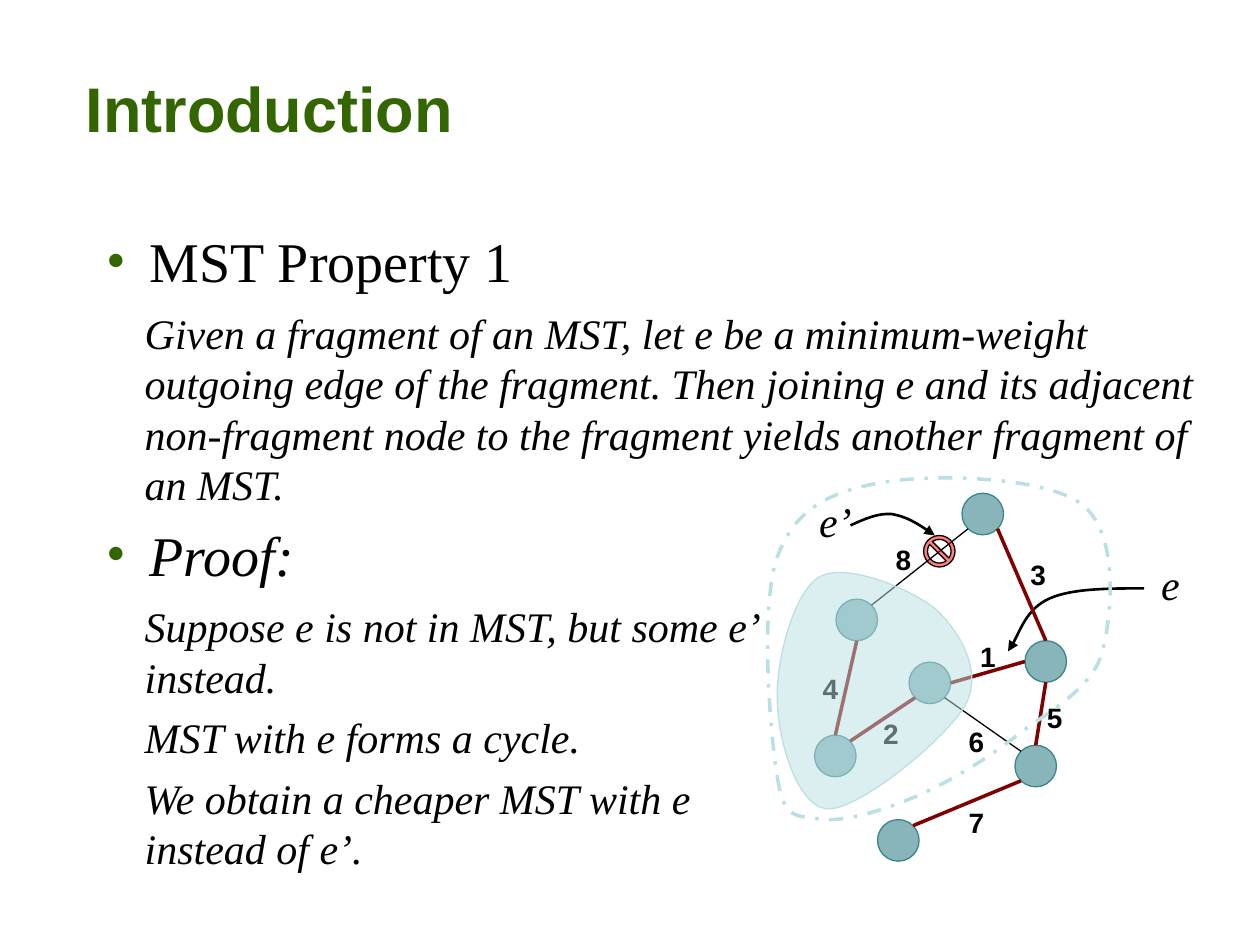
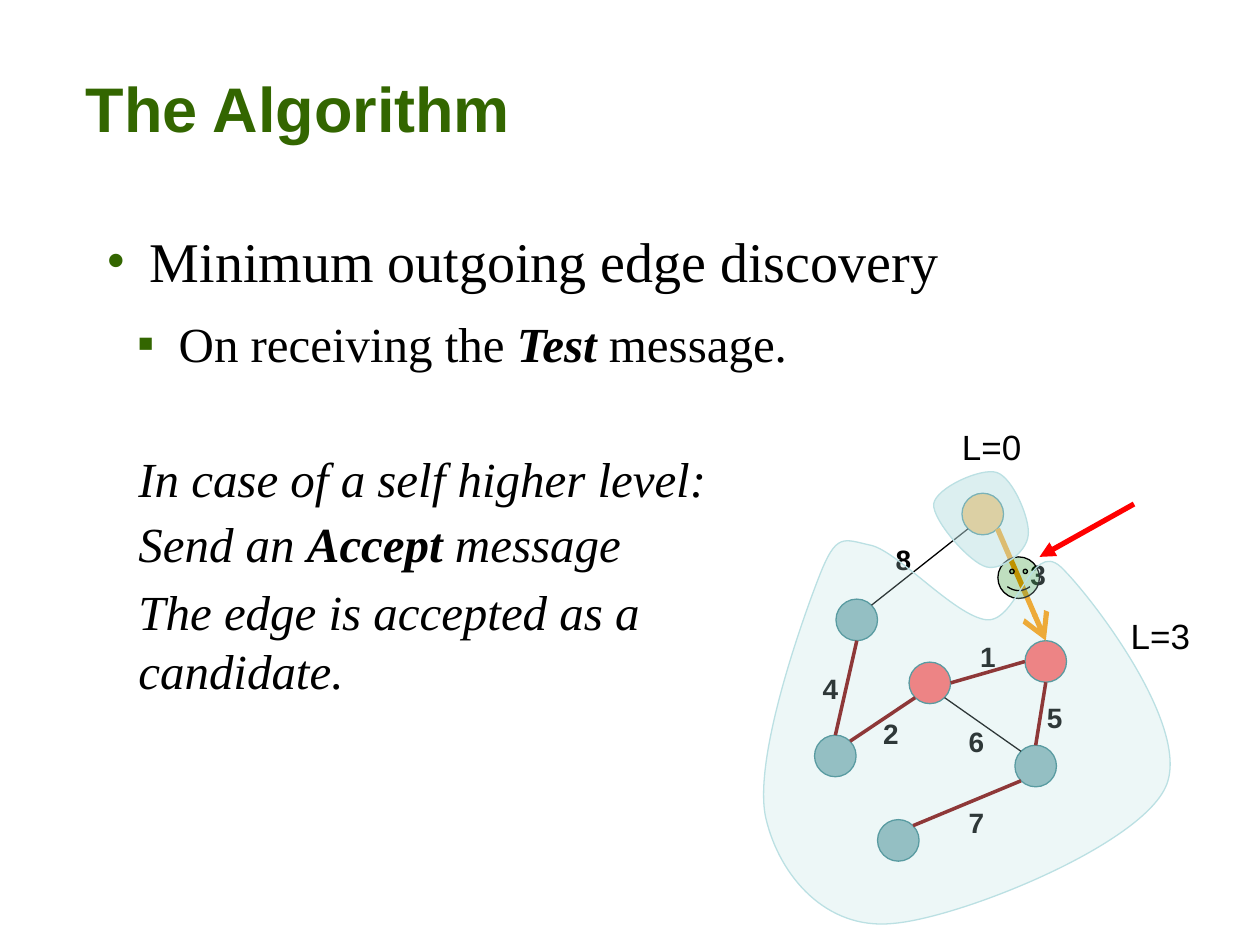
"""Build two slides on minimum spanning trees and their fragments."""
from lxml.etree import SubElement
from pptx import Presentation
from pptx.dml.color import RGBColor
from pptx.enum.dml import MSO_LINE
from pptx.enum.shapes import MSO_CONNECTOR, MSO_SHAPE
from pptx.enum.text import MSO_ANCHOR, MSO_AUTO_SIZE, PP_ALIGN
from pptx.oxml.ns import qn
from pptx.util import Inches, Pt

COLORS = {
    "black": "000000", "green": "336600", "teal": "39858B", "maroon": "800000",
    "mist": "BBE0E3", "red": "FF0000", "orange": "FF9900", "smile": "008000",
}
SANS, SERIF = "Arial", "Times New Roman"
NODE_SIZE = 0.33
DIAGONAL = 0.71
COMPASS = {
    "N": (0, -1), "S": (0, 1), "E": (1, 0), "W": (-1, 0),
    "NE": (DIAGONAL, -DIAGONAL), "SE": (DIAGONAL, DIAGONAL),
    "NW": (-DIAGONAL, -DIAGONAL), "SW": (-DIAGONAL, DIAGONAL),
}
NODES = {
    "core": (7.38, 5.42), "top": (7.8, 4.08), "low_right": (8.22, 6.08),
    "hub": (8.3, 5.25), "bottom": (7.13, 6.67), "left": (6.8, 4.92),
    "low_left": (6.63, 6),
}
TREE_EDGES = {
    1: ("core", "E", "hub", "W"), 2: ("core", "SW", "low_left", "NE"),
    3: ("top", "SE", "hub", "N"), 4: ("low_left", "N", "left", "S"),
    5: ("low_right", "N", "hub", "S"), 7: ("low_right", "SW", "bottom", "NE"),
}
OTHER_EDGES = {6: ("core", "SE", "low_right", "NW"), 8: ("left", "NE", "top", "SW")}
WEIGHT_CENTERS = {
    1: (7.84, 5.21), 2: (7.07, 5.82), 3: (8.24, 4.56), 4: (6.59, 5.46),
    5: (8.37, 5.69), 6: (7.75, 5.88), 7: (7.75, 6.53), 8: (7.17, 4.44),
}

SMALL_FRAGMENT = [
    (6.5, 4.58), (6.71, 4.46), (7.22, 4.67), (7.42, 4.83), (7.61, 5), (7.8, 5.32),
    (7.67, 5.58), (7.53, 5.85), (6.83, 6.42), (6.58, 6.42), (6.33, 6.42),
    (6.18, 5.89), (6.17, 5.58), (6.15, 5.28), (6.29, 4.71), (6.5, 4.58),
]
JOINED_FRAGMENT = [
    (6.17, 6.17), (6.22, 6.51), (6.32, 6.47), (6.5, 6.5), (6.68, 6.53), (6.99, 6.44),
    (7.25, 6.33), (7.51, 6.22), (7.83, 6.03), (8.08, 5.83), (8.33, 5.64), (8.67, 5.47),
    (8.75, 5.17), (8.83, 4.86), (8.88, 4.22), (8.58, 4), (8.29, 3.78), (7.4, 3.76),
    (7, 3.83), (6.6, 3.9), (6.31, 4.03), (6.17, 4.42), (6.03, 4.81), (6.11, 5.82),
    (6.17, 6.17),
]
LEVEL_0_FRAGMENT = [
    (7.41, 4), (7.43, 3.87), (7.79, 3.71), (7.91, 3.75), (8.04, 3.79), (8.18, 4.13),
    (8.16, 4.25), (8.15, 4.38), (7.95, 4.53), (7.83, 4.5), (7.7, 4.47), (7.4, 4.13),
    (7.41, 4),
]
LEVEL_3_FRAGMENT = [
    (6.5, 4.58), (6.64, 4.22), (6.69, 4.28), (6.92, 4.33), (7.14, 4.39), (7.58, 4.89),
    (7.83, 4.92), (8.08, 4.94), (8.18, 4.28), (8.42, 4.5), (8.65, 4.72), (9.47, 5.78),
    (9.25, 6.25), (9.03, 6.72), (7.61, 7.29), (7.08, 7.33), (6.56, 7.38), (6.19, 6.96),
    (6.08, 6.5), (5.97, 6.04), (6.36, 4.94), (6.5, 4.58),
]
E_POINTER = [(9.08, 4.67), (8.8, 4.67), (8.51, 4.67), (8.33, 4.75), (8.15, 4.83),
             (8.06, 5.1), (8, 5.17)]
E_PRIME_POINTER = [(6.75, 4.17), (6.86, 4.12), (6.97, 4.07), (7.08, 4.08),
                   (7.19, 4.1), (7.31, 4.17), (7.42, 4.25)]


def rgb(color):
    """Return the named colour."""
    return RGBColor.from_string(COLORS[color])


def style_font(font, name, size, color="black", bold=False, italic=False):
    """Set the face, size, colour and weight of a font."""
    font.name, font.size, font.bold, font.italic = name, Pt(size), bold, italic
    font.color.rgb = rgb(color)


def style_line(shape, color, width, arrow=None, arrow_size="med"):
    """Set the outline of a shape and an optional arrowhead at its end."""
    shape.line.color.rgb = rgb(color)
    shape.line.width = Pt(width)
    if arrow:
        outline = shape.element.spPr.find(qn("a:ln"))
        SubElement(outline, qn("a:tailEnd"), type=arrow, w=arrow_size, len=arrow_size)


def style_fill(shape, color, opacity):
    """Fill a shape with a partly transparent colour, without shadow."""
    shape.shadow.inherit = False
    shape.fill.solid()
    shape.fill.fore_color.rgb = rgb(color)
    tint = shape.element.spPr.find(qn("a:solidFill"))[0]
    SubElement(tint, qn("a:alpha"), val=str(opacity * 1000))


def add_bullet(para, symbol, indent):
    """Give a paragraph a green bullet with a hanging indent."""
    properties = para._p.get_or_add_pPr()
    properties.set("marL", str(Inches(indent)))
    properties.set("indent", str(-Inches(indent)))
    tint = SubElement(properties, qn("a:buClr"))
    SubElement(tint, qn("a:srgbClr"), val=COLORS["green"])
    SubElement(properties, qn("a:buFont"), typeface=SERIF)
    SubElement(properties, qn("a:buChar"), char=symbol)


def add_text(slide, text, place, size, italic=True, bullet=None, indent=0.34):
    """Add a serif text box, where asterisks enclose bold italic words."""
    box = slide.shapes.add_textbox(*map(Inches, place))
    box.text_frame.word_wrap = True
    para = box.text_frame.paragraphs[0]
    if bullet:
        add_bullet(para, bullet, indent)
    style_font(para.font, SERIF, size, italic=italic)
    for index, words in enumerate(text.split("*")):
        span = para.add_run()
        span.text = words
        if index % 2:
            span.font.bold = span.font.italic = True


def add_label(slide, text, center, size, name=SANS, bold=False, italic=False):
    """Add a one-line label centred on a point."""
    x, y = center
    width, height = 0.9, 0.42
    box = slide.shapes.add_textbox(Inches(x - width / 2), Inches(y - height / 2),
                                   Inches(width), Inches(height))
    box.text_frame.word_wrap = False
    box.text_frame.vertical_anchor = MSO_ANCHOR.MIDDLE
    para = box.text_frame.paragraphs[0]
    para.text = text
    para.alignment = PP_ALIGN.CENTER
    style_font(para.font, name, size, bold=bold, italic=italic)


def add_symbol(slide, preset, place, color, opacity, outline="black", adjustment=None):
    """Add a small translucent preset shape."""
    shape = slide.shapes.add_shape(preset, *map(Inches, place))
    if adjustment is not None:
        shape.adjustments[0] = adjustment
    style_fill(shape, color, opacity)
    style_line(shape, outline, 0.75)


def add_line(slide, start, end, *style):
    """Add a straight line between two points."""
    line = slide.shapes.add_connector(MSO_CONNECTOR.STRAIGHT,
                                      *map(Inches, (*start, *end)))
    style_line(line, *style)
    SubElement(line.element.spPr, qn("a:effectLst"))


def add_curve(slide, points, closed=False):
    """Add a Bezier outline from a start point and triples of control points."""
    corners = [(Inches(x), Inches(y)) for x, y in points]
    builder = slide.shapes.build_freeform(*corners[0])
    builder.add_line_segments(corners[1:], close=closed)
    curve = builder.convert_to_shape()
    segments = list(curve.element.iter(qn("a:lnTo")))
    for first, second, third in zip(*[iter(segments)] * 3):
        first.tag = qn("a:cubicBezTo")
        for segment in (second, third):
            first.append(segment[0])
            segment.getparent().remove(segment)
    curve.shadow.inherit = False
    curve.fill.background()
    return curve


def add_fragment(slide, points, opacity):
    """Add a translucent cloud around the nodes of a fragment."""
    cloud = add_curve(slide, points, closed=True)
    style_fill(cloud, "mist", opacity)
    style_line(cloud, "mist", 0.75)


def add_pointer(slide, points):
    """Add a curved black arrow."""
    style_line(add_curve(slide, points), "black", 1.5, "triangle")


def rim(node, side):
    """Return the point on the rim of a node at a compass side."""
    return tuple(center + NODE_SIZE / 2 * step
                 for center, step in zip(NODES[node], COMPASS[side]))


def add_graph(slide, node_colors, tested_edge=None):
    """Draw the weighted graph, with special node colours and a tested edge."""
    for node, (x, y) in NODES.items():
        place = (x - NODE_SIZE / 2, y - NODE_SIZE / 2, NODE_SIZE, NODE_SIZE)
        add_symbol(slide, MSO_SHAPE.OVAL, place, node_colors.get(node, "teal"), 60, "teal")
    for weight, (start, start_side, end, end_side) in {**TREE_EDGES, **OTHER_EDGES}.items():
        style = ("maroon", 2) if weight in TREE_EDGES else ("black", 0.75)
        if weight == tested_edge:
            style = ("orange", 3, "arrow", "lg")
        add_line(slide, rim(start, start_side), rim(end, end_side), *style)
    for weight, center in WEIGHT_CENTERS.items():
        add_label(slide, str(weight), center, 16, bold=True)


def add_titled_slide(deck, title, topic):
    """Add a slide with its title and its first bulleted line."""
    slide = deck.slides.add_slide(deck.slide_layouts[5])
    box = slide.shapes.title
    box.left, box.top, box.width, box.height = map(Inches, (0.58, 0.5, 8.92, 0.7))
    frame = box.text_frame
    frame.auto_size = MSO_AUTO_SIZE.NONE
    frame.vertical_anchor = MSO_ANCHOR.TOP
    para = frame.paragraphs[0]
    para.text = title
    para.alignment = PP_ALIGN.LEFT
    style_font(para.font, SANS, 36, "green", bold=True)
    add_text(slide, topic, (0.75, 1.75, 7.5, 0.64), 32, italic=False, bullet="•")
    return slide


def add_property_slide(deck):
    """Add the slide on the first MST property and its proof."""
    slide = add_titled_slide(deck, "Introduction", "MST Property 1")
    add_text(slide, "Given a fragment of an MST, let e be a minimum-weight outgoing edge "
             "of the fragment. Then joining e and its adjacent non-fragment node to the "
             "fragment yields another fragment of an MST.", (1.05, 2.39, 8.58, 1.7), 24)
    add_text(slide, "Proof:", (0.75, 4.08, 6.08, 0.64), 32, bullet="•")
    proof = [("Suppose e is not in MST, but some e’ instead.", 4.72, 0.9),
             ("MST with e forms a cycle.", 5.6, 0.5),
             ("We obtain a cheaper MST with e instead of e’.", 6.08, 0.9)]
    for text, top, height in proof:
        add_text(slide, text, (1.05, top, 5.28, height), 24)
    add_pointer(slide, E_POINTER)
    add_label(slide, "e", (9.29, 4.63), 24, SERIF, italic=True)
    add_graph(slide, {})
    add_fragment(slide, SMALL_FRAGMENT, 50)
    add_label(slide, "e’", (6.63, 4.13), 24, SERIF, italic=True)
    add_pointer(slide, E_PRIME_POINTER)
    border = add_curve(slide, JOINED_FRAGMENT, closed=True)
    style_line(border, "mist", 2)
    border.line.dash_style = MSO_LINE.DASH_DOT
    add_symbol(slide, MSO_SHAPE.NO_SYMBOL, (7.33, 4.25, 0.25, 0.25), "red", 50,
               adjustment=0.125)


def add_discovery_slide(deck):
    """Add the slide on accepting a test message."""
    slide = add_titled_slide(deck, "The Algorithm", "Minimum outgoing edge discovery")
    add_text(slide, "On receiving the *Test* message.", (0.99, 2.44, 8.26, 0.57), 28,
             italic=False, bullet="▪", indent=0.33)
    steps = [("In case of a self higher level:", 3.51, 5.33, 0.57),
             ("Send an *Accept* message", 4.03, 4.65, 0.57),
             ("The edge is accepted as a candidate.", 4.57, 4.65, 1.04)]
    for text, top, width, height in steps:
        add_text(slide, text, (1, top, width, height), 28)
    add_graph(slide, {"core": "red", "hub": "red", "top": "orange"}, tested_edge=3)
    add_label(slide, "L=0", (7.87, 3.54), 20)
    add_label(slide, "L=3", (9.21, 5.04), 20)
    add_line(slide, (9, 4), (8.25, 4.42), "red", 3, "triangle")
    add_symbol(slide, MSO_SHAPE.SMILEY_FACE, (7.92, 4.42, 0.33, 0.33), "smile", 25,
               adjustment=0.093)
    add_fragment(slide, LEVEL_0_FRAGMENT, 50)
    add_fragment(slide, LEVEL_3_FRAGMENT, 25)


def main():
    """Build and save the deck."""
    deck = Presentation()
    deck.slide_width, deck.slide_height = Inches(10), Inches(7.5)
    add_property_slide(deck)
    add_discovery_slide(deck)
    deck.save("out.pptx")


if __name__ == "__main__":
    main()
